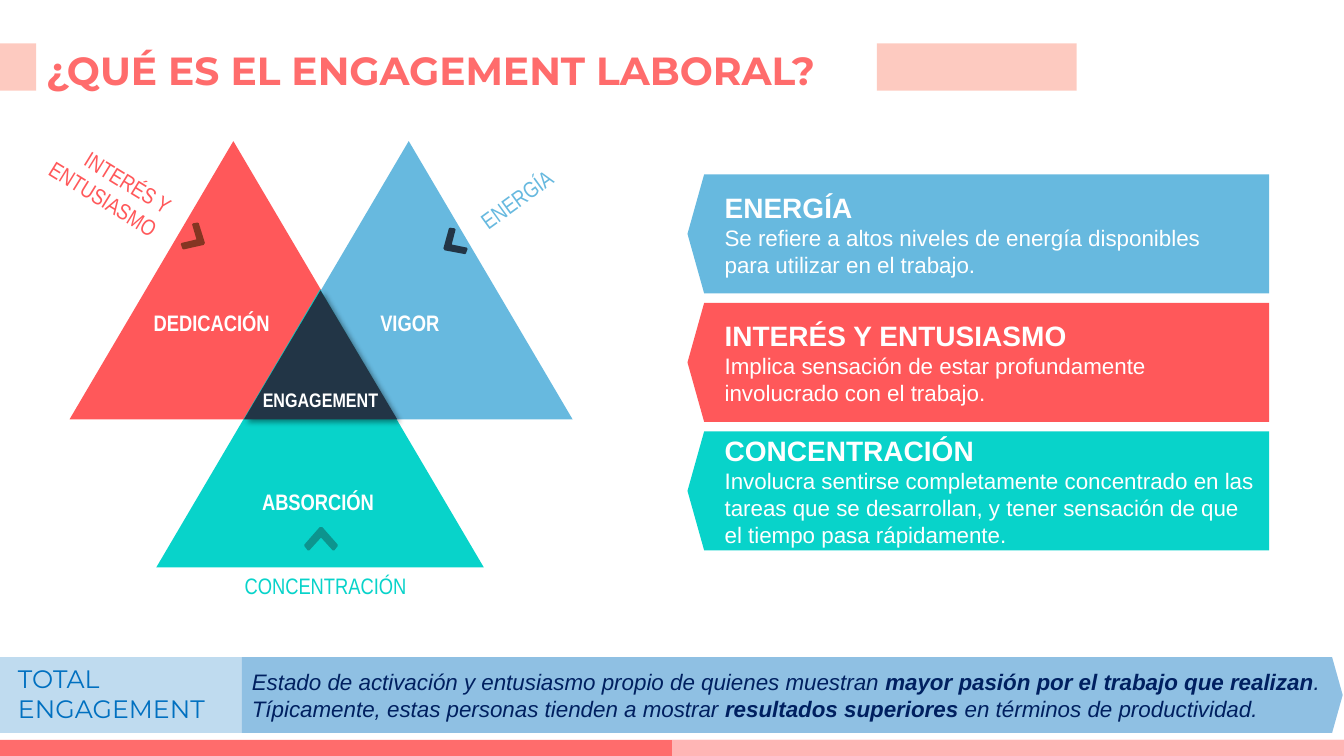
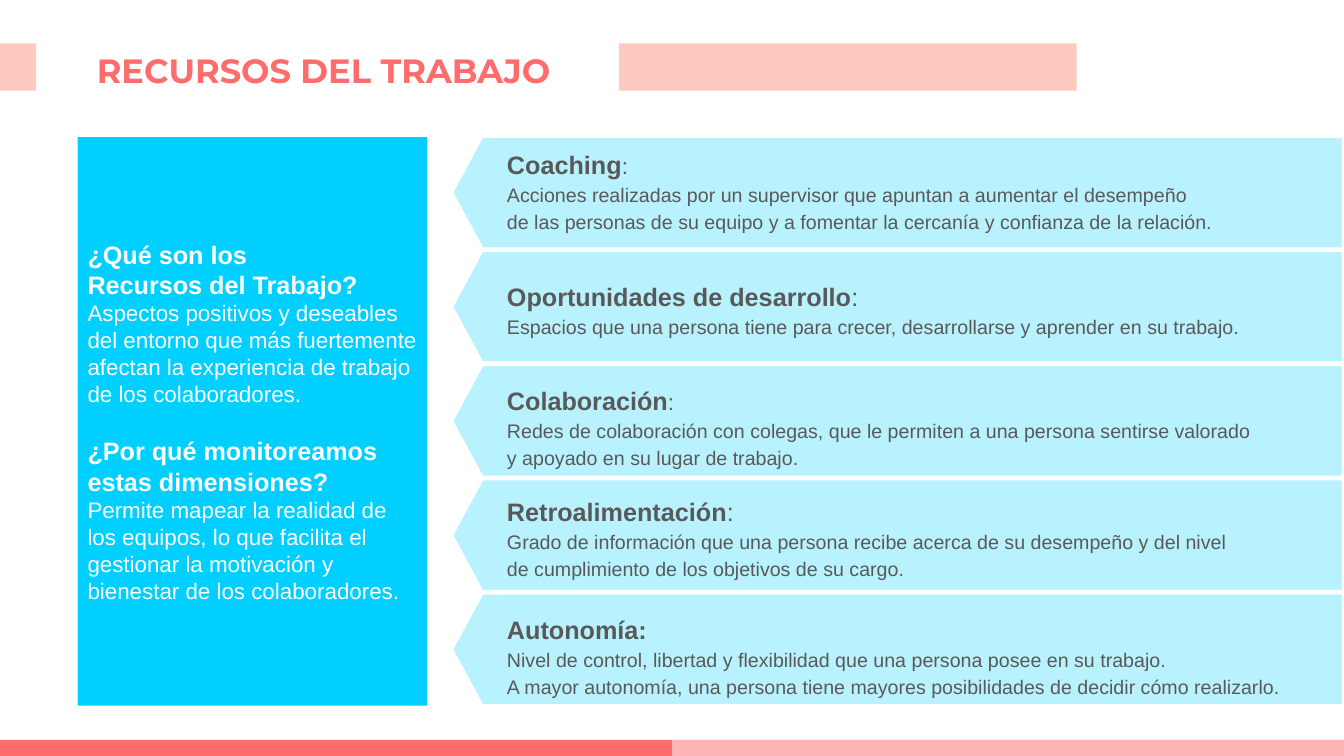
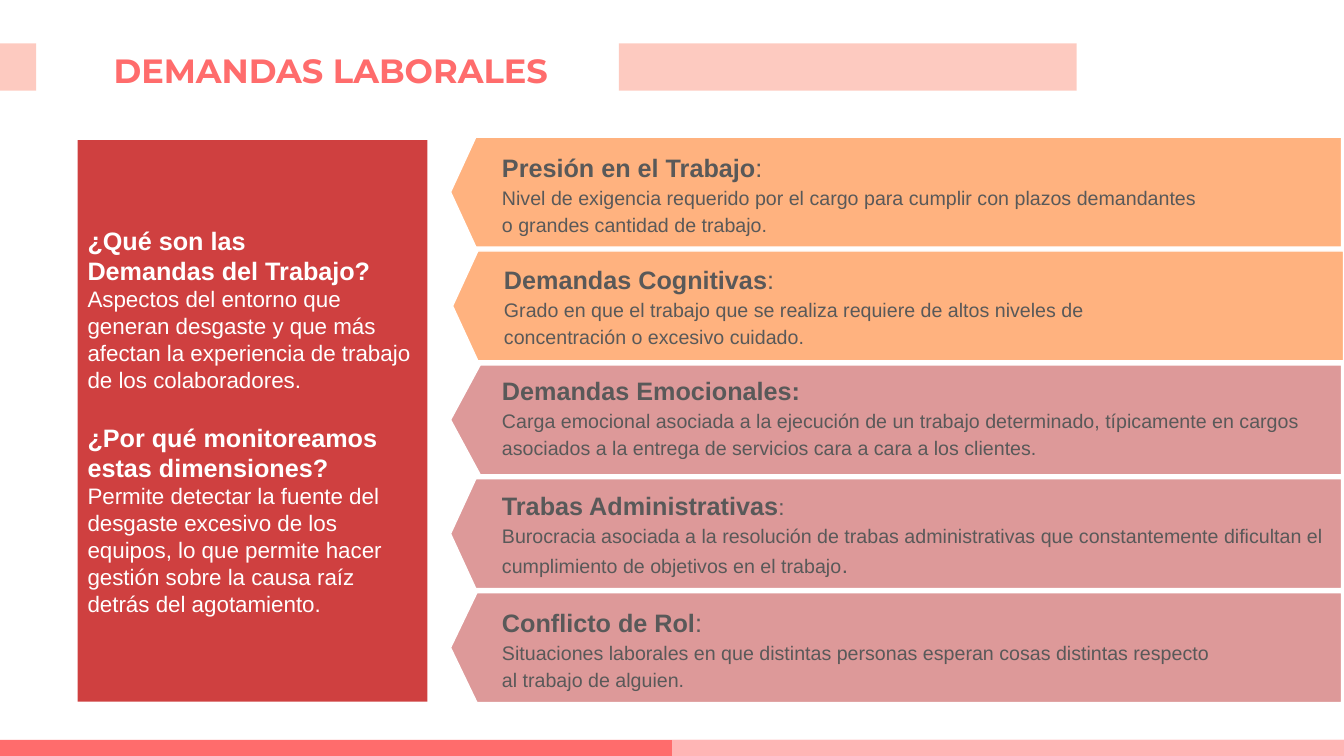
from dataclasses import dataclass

from lxml import etree
from pptx import Presentation
from pptx.dml.color import RGBColor
from pptx.enum.shapes import MSO_SHAPE
from pptx.enum.text import MSO_ANCHOR, PP_ALIGN
from pptx.oxml.ns import qn
from pptx.util import Inches, Pt

RECTANGLE, TRIANGLE, PENTAGON = MSO_SHAPE.RECTANGLE, MSO_SHAPE.ISOSCELES_TRIANGLE, MSO_SHAPE.PENTAGON
TOP, MIDDLE = MSO_ANCHOR.TOP, MSO_ANCHOR.MIDDLE
LEFT, CENTER, RIGHT = PP_ALIGN.LEFT, PP_ALIGN.CENTER, PP_ALIGN.RIGHT

CELL = Inches(0.1)
COLUMNS, ROWS = 133.33, 75
BODY_FONT, NARROW_FONT, TITLE_FONT = "Arial", "Arial Narrow", "Montserrat"
WHITE, GRAY, CORAL, PEACH = "FFFFFF", "595959", "FF6C6C", "FD9783"
RED, BLUE, TEAL, NAVY = "FF585A", "67B9DF", "08D3CA", "223546"
BANNER_BLUE, BANNER_TEXT = "0070C0", "002060"
ICE, CYAN, ORANGE, WINE, CRIMSON = "B9F2FF", "00CFFF", "FF6600", "AC0000", "C00000"
CARET = [(0.46, 0), (0.54, 0), (1, 0.75), (1, 0.82), (0.9, 1), (0.85, 1), (0.5, 0.45),
         (0.15, 1), (0.1, 1), (0, 0.82), (0, 0.75)]


@dataclass
class Box:
    left: float
    top: float
    width: float
    height: float

    def area(self, left, top, width, height):
        return Box(self.left + left, self.top + top, width, height)

    def emu(self):
        return [round(value * CELL) for value in (self.left, self.top, self.width, self.height)]


@dataclass
class Span:
    text: str
    size: float
    bold: bool = False


@dataclass
class Row:
    paragraphs: list
    drop: float
    color: str = ICE
    alpha: int = 100
    point: float = 0.27
    shift: float = 0
    text_width: float = 0


def rgb(color):
    return RGBColor.from_string(color)


def add_fill(shape, color, alpha=100):
    shape.shadow.inherit = False
    shape.fill.solid()
    shape.fill.fore_color.rgb = rgb(color)
    shape.line.fill.background()
    if alpha < 100:
        tint = shape.element.spPr.find(qn("a:solidFill"))[0]
        etree.SubElement(tint, qn("a:alpha"), val=str(alpha * 1000))


def add_block(page, kind, box, color, alpha=100):
    shape = page.shapes.add_shape(kind, *box.emu())
    add_fill(shape, color, alpha)
    return shape


def add_plate(page, box, color, alpha=100, point=0.14, turn=180):
    plate = add_block(page, PENTAGON, box, color, alpha)
    plate.adjustments[0] = point
    plate.rotation = turn
    return plate


def write(shape, paragraphs, color, font=BODY_FONT, align=LEFT, anchor=TOP,
          spacing=1.0, side=0.1, gaps=(), italic=False):
    frame = shape.text_frame
    frame.word_wrap = True
    frame.vertical_anchor = anchor
    frame.margin_left = frame.margin_right = Inches(side)
    for index, spans in enumerate(paragraphs):
        para = frame.add_paragraph() if index else frame.paragraphs[0]
        para.alignment = align
        para.line_spacing = spacing
        if index in gaps:
            para.space_before = Pt(20.7)
        para.font.name = font
        para.font.color.rgb = rgb(color)
        para.font.italic = italic
        for span in spans:
            run = para.add_run()
            run.text = span.text
            run.font.size = Pt(span.size)
            run.font.bold = span.bold


def add_text(page, box, paragraphs, color, turn=0, **style):
    shape = page.shapes.add_textbox(*box.emu())
    shape.rotation = turn
    write(shape, paragraphs, color, **style)


def add_caret(page, box, color, turn=0):
    left, top, width, height = box.emu()
    points = [(left + round(x * width), top + round(y * height)) for x, y in CARET]
    builder = page.shapes.build_freeform(*points[0])
    builder.add_line_segments(points[1:], close=True)
    caret = builder.convert_to_shape()
    add_fill(caret, color)
    caret.rotation = turn


def add_page(deck, title, title_box, size, align, bar_left):
    page = deck.slides.add_slide(deck.slide_layouts[6])
    footer = Box(0, 73.4, COLUMNS, 1.6)
    half = COLUMNS / 2
    add_block(page, RECTANGLE, footer, CORAL)
    add_block(page, RECTANGLE, footer.area(half, 0, half, footer.height), WHITE, 50)
    for left, right in ((0, 3.6), (bar_left, 106.8)):
        add_block(page, RECTANGLE, Box(left, 4.3, right - left, 4.7), PEACH, 50)
    add_text(page, title_box, [[Span(title, size, True)]], CORAL, font=TITLE_FONT,
             align=align, anchor=MIDDLE, spacing=0.9)
    return page


def add_triangles(page, box):
    for left, top, color in ((6.9, 0, RED), (24.3, 0, BLUE), (15.5, 14.7, TEAL)):
        add_block(page, TRIANGLE, box.area(left, top, 32.5, 27.6), color)
    core = add_block(page, TRIANGLE, box.area(24.2, 14.8, 15.2, 12.8), NAVY)
    shadow = etree.SubElement(core.element.spPr.find(qn("a:effectLst")), qn("a:outerShdw"),
                              blurRad=str(Pt(4)), dist=str(Pt(3)), dir="2700000")
    shade = etree.SubElement(shadow, qn("a:srgbClr"), val="000000")
    etree.SubElement(shade, qn("a:alpha"), val="40000")

    labels = (
        ("DEDICACIÓN", (11.7, 16.2, 18.6, 3.7), 16, WHITE, CENTER, 0),
        ("VIGOR", (33.9, 16.2, 13.5, 3.7), 16, WHITE, CENTER, 0),
        ("ABSORCIÓN", (21.4, 33.9, 20.3, 3.7), 16, WHITE, CENTER, 0),
        ("ENGAGEMENT", (21.5, 24, 20.6, 3.9), 14, WHITE, CENTER, 0),
        ("CONCENTRACIÓN", (18, 42.3, 28.6, 3.7), 16, TEAL, CENTER, 0),
        ("ENERGÍA", (45.3, 1.2, 19.4, 3.7), 16, BLUE, LEFT, 324),
        ("INTERÉS Y ENTUSIASMO", (-2, -0.3, 20.4, 6.4), 16, RED, RIGHT, 31.7),
    )
    for text, place, size, color, align, turn in labels:
        add_text(page, box.area(*place), [[Span(text, size, color == WHITE)]], color,
                 turn, font=NARROW_FONT, align=align)
    for place, color, turn in (
        ((43.4, 9.2, 3, 2), NAVY, 238.1),
        ((30.2, 38.3, 3.3, 2.3), "0D948E", 0),
        ((17.9, 8.7, 3, 2), "853522", 120),
    ):
        add_caret(page, box.area(*place), color, turn)


def add_cards(page, box, cards, pitch):
    for index, (heading, text, color, text_width) in enumerate(cards):
        card = box.area(0, index * pitch, box.width, 11.8)
        add_plate(page, card, color)
        add_text(page, card.area(2.7, 0, text_width, card.height),
                 [[Span(heading, 20, True)], [Span(text, 16)]], WHITE, anchor=MIDDLE)


def add_banner(page, box, label, spans):
    add_plate(page, box, BANNER_BLUE, 25, turn=0)
    add_text(page, box.area(0.8, 0.1, 24.1, 7.1), [[Span(word, 18)] for word in label],
             BANNER_BLUE, font=TITLE_FONT)
    message = add_plate(page, box.area(24, 0, box.width - 24, box.height), BANNER_BLUE, 25, turn=0)
    write(message, [spans], BANNER_TEXT, anchor=MIDDLE, italic=True)


def add_panel(page, box, color, alpha, topic, meaning, reason):
    panel = add_block(page, RECTANGLE, box, color, alpha)
    headings = (topic, ("¿Por qué monitoreamos", "estas dimensiones?"))
    paragraphs = []
    for lines, text in zip(headings, (meaning, reason)):
        paragraphs += [[Span(line, 18, True)] for line in lines] + [[Span(text, 16)]]
    write(panel, paragraphs, WHITE, anchor=MIDDLE, gaps=(3,))


def add_rows(page, box, rows, pitch, row_height, indent):
    for index, row in enumerate(rows):
        band = box.area(row.shift, index * pitch, box.width, row_height)
        plate = add_plate(page, band, row.color, row.alpha, row.point)
        plate.line.color.rgb = rgb(WHITE)
        plate.line.width = Pt(1)
        width = row.text_width or COLUMNS - band.left - indent
        add_text(page, band.area(indent, row.drop, width, 9.6), row.paragraphs, GRAY,
                 spacing=1.15, side=0.16)


def entry(heading, *lines, mark=18):
    title = [Span(heading, 18, True)]
    if mark:
        title.append(Span(":", mark))
    return [title] + [[Span(line, 14)] for line in lines]


def engagement_page(deck):
    page = add_page(deck, "¿QUÉ ES EL ENGAGEMENT LABORAL?", Box(3.6, 4.2, 88.3, 6), 28, LEFT, 87)
    add_triangles(page, Box(0, 14, 60, 46))
    add_cards(page, Box(68.2, 17.3, 57.7, 37.3), (
        ("ENERGÍA", "Se refiere a altos niveles de energía disponibles para utilizar en el trabajo.",
         BLUE, 51.6),
        ("INTERÉS Y ENTUSIASMO",
         "Implica sensación de estar profundamente involucrado con el trabajo.", RED, 54.9),
        ("CONCENTRACIÓN",
         "Involucra sentirse completamente concentrado en las tareas que se desarrollan, "
         "y tener sensación de que el tiempo pasa rápidamente.", TEAL, 55),
    ), 12.75)
    add_banner(page, Box(0, 65.2, 133.2, 7.5), ("TOTAL", "ENGAGEMENT"), [
        Span("Estado de activación y entusiasmo propio de quienes muestran ", 16),
        Span("mayor pasión por el trabajo que realizan", 16, True),
        Span(". Típicamente, estas personas tienden a mostrar ", 16),
        Span("resultados superiores", 16, True),
        Span(" en términos de productividad.", 16),
    ])


def resources_page(deck):
    page = add_page(deck, "RECURSOS DEL TRABAJO", Box(0.3, 4.2, 63.6, 6), 24, CENTER, 61.4)
    add_rows(page, Box(44.9, 13.6, 88.3, 56.4), (
        Row(entry("Coaching",
                  "Acciones realizadas por un supervisor que apuntan a aumentar el desempeño",
                  "de las personas de su equipo y a fomentar la cercanía y confianza de la relación.",
                  mark=16), 0.3),
        Row(entry("Oportunidades de desarrollo",
                  "Espacios que una persona tiene para crecer, desarrollarse y aprender en su trabajo."),
            2),
        Row(entry("Colaboración",
                  "Redes de colaboración con colegas, que le permiten a una persona sentirse valorado",
                  "y apoyado en su lugar de trabajo.", mark=16), 1),
        Row(entry("Retroalimentación",
                  "Grado de información que una persona recibe acerca de su desempeño y del nivel",
                  "de cumplimiento de los objetivos de su cargo."), 0.7),
        Row(entry("Autonomía:",
                  "Nivel de control, libertad y flexibilidad que una persona posee en su trabajo.",
                  "A mayor autonomía, una persona tiene mayores posibilidades de decidir cómo realizarlo.",
                  mark=0), 1.1),
    ), 11.33, 11, 3.8)
    add_panel(page, Box(7.7, 13.6, 34.7, 56.4), CYAN, 100,
              ("¿Qué son los", "Recursos del Trabajo?"),
              "Aspectos positivos y deseables del entorno que más fuertemente afectan "
              "la experiencia de trabajo de los colaboradores.",
              "Permite mapear la realidad de los equipos, lo que facilita el gestionar "
              "la motivación y bienestar de los colaboradores.")


def demands_page(deck):
    page = add_page(deck, "DEMANDAS LABORALES", Box(4.2, 4.2, 57.2, 6), 24, CENTER, 61.4)
    red_tape = entry("Trabas Administrativas",
                     "Burocracia asociada a la resolución de trabas administrativas que "
                     "constantemente dificultan el cumplimiento de objetivos en el trabajo", mark=16)
    red_tape[-1].append(Span(".", 16))
    add_rows(page, Box(44.7, 13.6, 88.4, 56.1), (
        Row(entry("Presión en el Trabajo",
                  "Nivel de exigencia requerido por el cargo para cumplir con plazos demandantes",
                  "o grandes cantidad de trabajo."), 0.6, ORANGE, 50, 0.23),
        Row(entry("Demandas Cognitivas",
                  "Grado en que el trabajo que se realiza requiere de altos niveles de "
                  "concentración o excesivo cuidado."), 0.4, ORANGE, 50, 0.23, 0.2, 73.3),
        Row(entry("Demandas Emocionales:",
                  "Carga emocional asociada a la ejecución de un trabajo determinado, típicamente "
                  "en cargos asociados a la entrega de servicios cara a cara a los clientes.",
                  mark=0), 0.1, WINE, 40, 0.27),
        Row(red_tape, 0.2, WINE, 40, 0.23),
        Row(entry("Conflicto de Rol",
                  "Situaciones laborales en que distintas personas esperan cosas distintas respecto",
                  "al trabajo de alguien."), 0.5, WINE, 40, 0.24),
    ), 11.3, 10.9, 3.5)
    add_panel(page, Box(7.7, 13.9, 34.7, 55.7), CRIMSON, 75,
              ("¿Qué son las", "Demandas del Trabajo?"),
              "Aspectos del entorno que generan desgaste y que más afectan la experiencia "
              "de trabajo de los colaboradores.",
              "Permite detectar la fuente del desgaste excesivo de los equipos, lo que permite "
              "hacer gestión sobre la causa raíz detrás del agotamiento.")


def main():
    deck = Presentation()
    deck.slide_width = round(COLUMNS * CELL)
    deck.slide_height = ROWS * CELL
    engagement_page(deck)
    resources_page(deck)
    demands_page(deck)
    deck.save("out.pptx")


if __name__ == "__main__":
    main()
